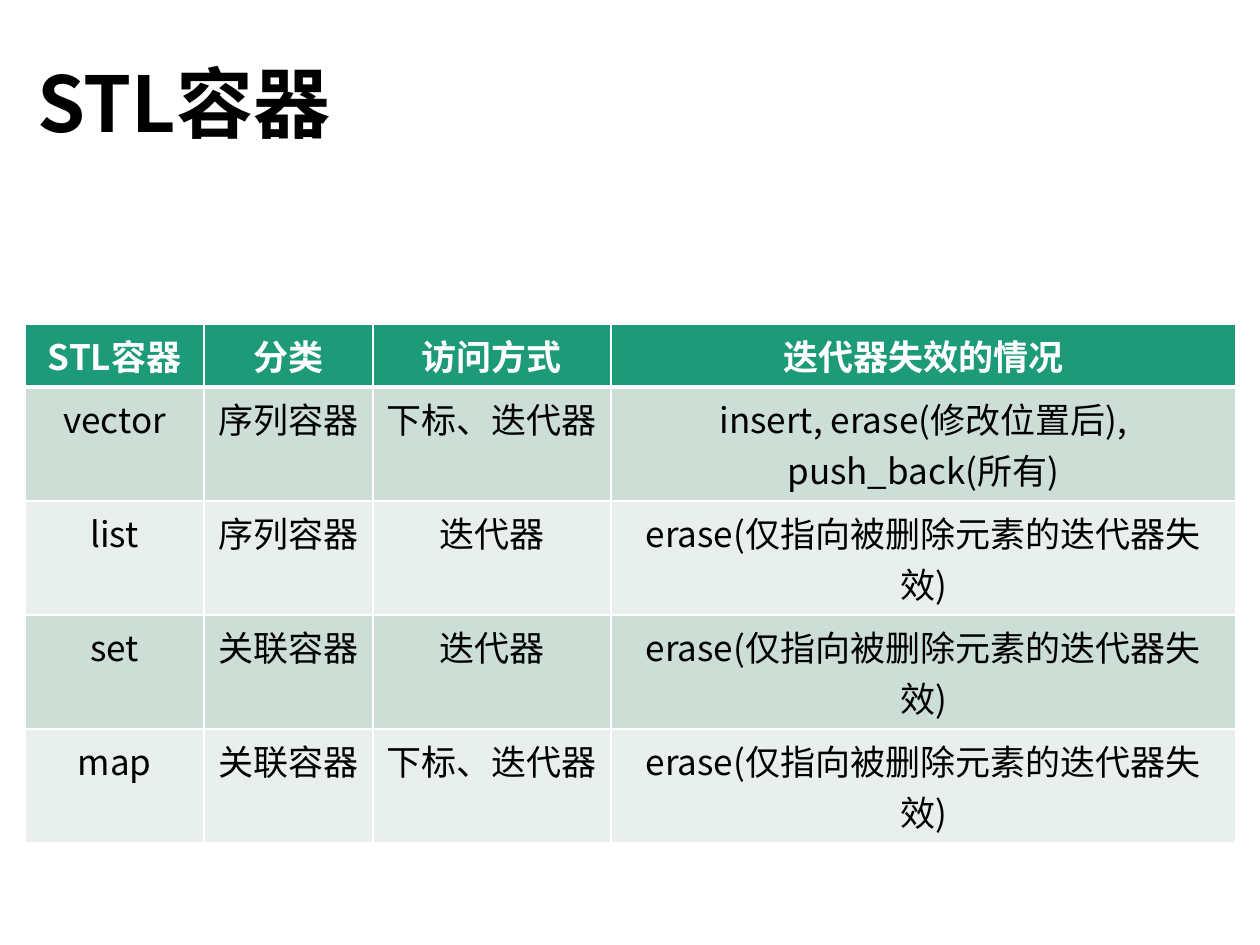
from lxml import etree
from pptx import Presentation, util as u
from pptx.dml.color import RGBColor
from pptx.enum import text
from pptx.oxml.ns import qn

FONT = "Noto Sans CJK SC"
WHITE, BLACK, GREEN = "FFFFFF", "000000", "1D9A78"
BANDS = ("CDDED6", "E8EFEC")

TITLE = "STL容器"
ERASE = "erase(仅指向被删除元素的迭代器失效)"
ROWS = [
    ("STL容器", "分类", "访问方式", "迭代器失效的情况"),
    ("vector", "序列容器", "下标、迭代器", "insert, erase(修改位置后), push_back(所有)"),
    ("list", "序列容器", "迭代器", ERASE),
    ("set", "关联容器", "迭代器", ERASE),
    ("map", "关联容器", "下标、迭代器", ERASE),
]
COLS = (1.42, 1.34, 1.89, 4.96)
GRID_H, HEAD_H = 4.12, 0.5
BODY_H = (GRID_H - HEAD_H) / (len(ROWS) - 1)
LEFT = 0.2


def rgb(code):
    return RGBColor.from_string(code)


def write(para, words, size, color, bold):
    run = para.add_run()
    run.text = words
    font = run.font
    font.name, font.size, font.bold = FONT, u.Pt(size), bold
    font.color.rgb = rgb(color)
    etree.SubElement(font._element, qn("a:ea"), typeface=FONT)


def edge(cell, side, width):
    """Draw a white border on one side of a cell; call before the fill is set."""
    props = cell._tc.get_or_add_tcPr()
    line = etree.SubElement(props, qn("a:ln" + side), w=str(u.Pt(width)))
    fill = etree.SubElement(line, qn("a:solidFill"))
    etree.SubElement(fill, qn("a:srgbClr"), val=WHITE)


def add_title(slide):
    box = slide.shapes.add_textbox(*map(u.Inches, (LEFT, 0.13, 8.62, 1.45)))
    frame = box.text_frame
    frame.word_wrap = True
    frame.vertical_anchor = text.MSO_ANCHOR.MIDDLE
    para = frame.paragraphs[0]
    para.line_spacing = 0.9
    write(para, TITLE, 44, BLACK, True)


def add_grid(slide):
    place = (LEFT, 2.57, sum(COLS), GRID_H)
    table = slide.shapes.add_table(len(ROWS), len(COLS), *map(u.Inches, place)).table
    for col, width in zip(table.columns, COLS):
        col.width = u.Inches(width)
    for r, row in enumerate(ROWS):
        head = r == 0
        table.rows[r].height = u.Inches(HEAD_H if head else BODY_H)
        for c, words in enumerate(row):
            cell = table.cell(r, c)
            for side in "LRTB":
                thick = (head and side == "B") or (r == 1 and side == "T")
                edge(cell, side, 3 if thick else 1)
            cell.fill.solid()
            cell.fill.fore_color.rgb = rgb(GREEN if head else BANDS[(r - 1) % 2])
            para = cell.text_frame.paragraphs[0]
            para.alignment = text.PP_ALIGN.CENTER
            write(para, words, 20, WHITE if head else BLACK, head)


def main():
    deck = Presentation()
    deck.slide_width, deck.slide_height = u.Inches(10), u.Inches(7.5)
    slide = deck.slides.add_slide(deck.slide_layouts[6])
    add_title(slide)
    add_grid(slide)
    deck.save("out.pptx")


if __name__ == "__main__":
    main()
